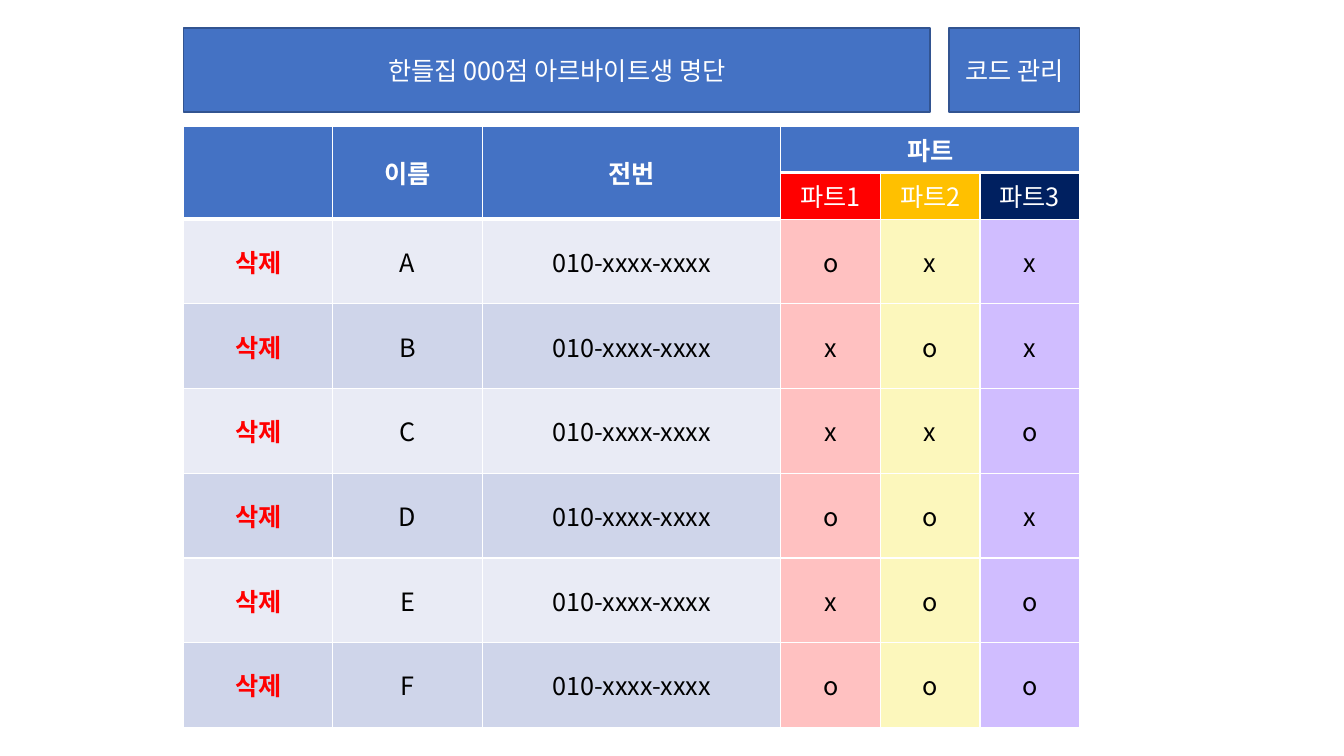
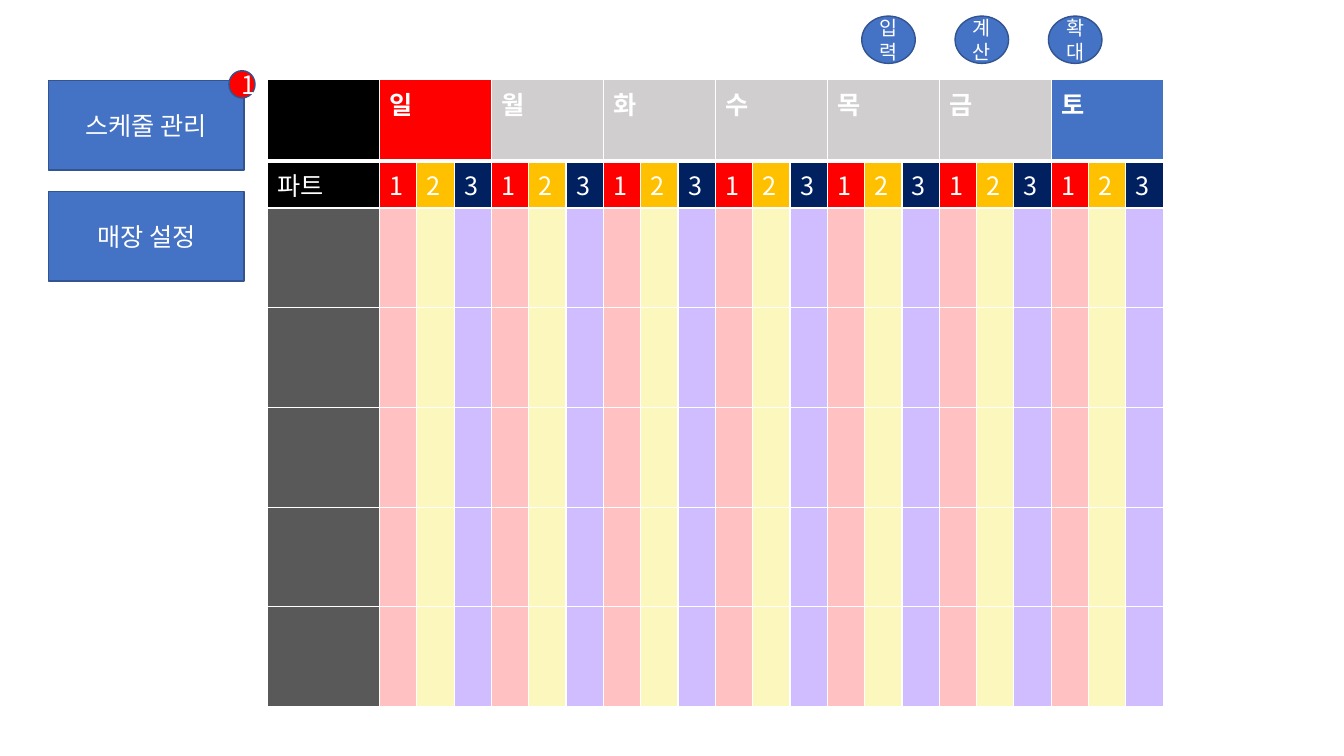
from lxml import etree
from pptx import Presentation
from pptx.dml.color import RGBColor
from pptx.enum.shapes import MSO_SHAPE
from pptx.enum.text import MSO_ANCHOR, PP_ALIGN
from pptx.oxml.ns import qn
from pptx.util import Inches, Pt

RECTANGLE = MSO_SHAPE.RECTANGLE
PROCESS = MSO_SHAPE.FLOWCHART_PROCESS
OVAL = MSO_SHAPE.OVAL
CENTER, LEFT = PP_ALIGN.CENTER, PP_ALIGN.LEFT
MIDDLE, TOP = MSO_ANCHOR.MIDDLE, MSO_ANCHOR.TOP

WHITE = RGBColor(0xFF, 0xFF, 0xFF)
BLACK = RGBColor(0x00, 0x00, 0x00)
BLUE = RGBColor(0x44, 0x72, 0xC4)
OUTLINE = RGBColor(0x32, 0x54, 0x91)
RED = RGBColor(0xFF, 0x00, 0x00)
AMBER = RGBColor(0xFF, 0xC0, 0x00)
NAVY = RGBColor(0x00, 0x20, 0x60)
GRAY = RGBColor(0xD0, 0xCE, 0xCE)
CHARCOAL = RGBColor(0x59, 0x59, 0x59)
PART_COLORS = [RED, AMBER, NAVY]
PART_TINTS = [RGBColor(0xFF, 0xC1, 0xC1), RGBColor(0xFC, 0xF7, 0xBC), RGBColor(0xD0, 0xBD, 0xFF)]
BANDS = [RGBColor(0xE9, 0xEB, 0xF5), RGBColor(0xCF, 0xD5, 0xEA)]

FONT = "Noto Sans CJK KR"
GRID = 108
DAYS = "일월화수목금토"
STAFF = {"A": "oxx", "B": "xox", "C": "xxo", "D": "oox", "E": "xoo", "F": "ooo"}


def write_text(frame, text, size=18, color=WHITE, bold=False, align=CENTER):
    """Write one formatted paragraph into a text frame."""
    para = frame.paragraphs[0]
    para.alignment = align
    span = para.add_run()
    span.text = text
    span.font.size = Pt(size)
    span.font.bold = bold
    span.font.name = FONT
    span.font.color.rgb = color
    etree.SubElement(span.font._element, qn("a:ea"), typeface=FONT)


def cell(text, fill, rule=1, **style):
    """Describe one table cell."""
    return {"text": text, "fill": fill, "rule": rule, "style": style}


def draw_borders(table_cell, bottom):
    """Give a cell white edges, with its own bottom weight."""
    properties = table_cell._tc.get_or_add_tcPr()
    for index, (edge, weight) in enumerate(zip("LRTB", (1, 1, 1, bottom))):
        line = etree.Element(qn(f"a:ln{edge}"), w=str(Pt(weight)))
        solid = etree.SubElement(line, qn("a:solidFill"))
        etree.SubElement(solid, qn("a:srgbClr"), val=str(WHITE))
        properties.insert(index, line)


class Board:
    """Draws elements on the current slide, in grid columns and rows."""

    def __init__(self):
        """Open a wide deck."""
        self.deck = Presentation()
        self.deck.slide_width, self.deck.slide_height = Inches(13.33), Inches(7.5)
        self.page = None

    def across(self, columns):
        """Turn grid columns into a length."""
        return round(self.deck.slide_width * columns / GRID)

    def down(self, rows):
        """Turn grid rows into a length."""
        return round(self.deck.slide_height * rows / GRID)

    def add_page(self):
        """Start a blank slide."""
        self.page = self.deck.slides.add_slide(self.deck.slide_layouts[6])

    def button(self, text, left, top, width, height, kind=RECTANGLE, fill=BLUE, **style):
        """Add an outlined shape with a centred label."""
        box = self.page.shapes.add_shape(
            kind, self.across(left), self.down(top), self.across(width), self.down(height))
        box.shadow.inherit = False
        box.fill.solid()
        box.fill.fore_color.rgb = fill
        box.line.color.rgb = OUTLINE
        box.line.width = Pt(1)
        box.text_frame.word_wrap = True
        box.text_frame.vertical_anchor = MIDDLE
        write_text(box.text_frame, text, **style)

    def table(self, left, top, widths, heights, rows, merges, anchor, align):
        """Add a table; merges lists first and last cell positions."""
        frame = self.page.shapes.add_table(
            len(heights), len(widths), self.across(left), self.down(top),
            self.across(sum(widths)), self.down(sum(heights)))
        table = frame.table
        table.first_row = table.horz_banding = False
        for column, width in zip(table.columns, widths):
            column.width = self.across(width)
        for row, height in zip(table.rows, heights):
            row.height = self.down(height)
        for row, items in zip(table.rows, rows):
            for target, item in zip(row.cells, items):
                target.fill.solid()
                target.fill.fore_color.rgb = item["fill"]
                target.vertical_anchor = anchor
                draw_borders(target, item["rule"])
                if item["text"]:
                    write_text(target.text_frame, item["text"], align=align, **item["style"])
        for first, last in merges:
            table.cell(*first).merge(table.cell(*last))


def build_staff_list(board):
    """Draw the staff list with the parts each person works."""
    board.add_page()
    board.button("한들집 000점 아르바이트생 명단", 14.75, 4, 60, 12)
    board.button("코드 관리", 76.25, 4, 10.5, 12, kind=PROCESS)

    blank = cell("", BLUE, rule=3)
    titles = [cell(text, BLUE, rule=3, bold=True) for text in ("", "이름", "전번", "파트")]
    parts = [cell(f"파트{number}", color) for number, color in enumerate(PART_COLORS, 1)]
    rows = [titles + [blank] * 2, [blank] * 3 + parts]
    for index, (name, marks) in enumerate(STAFF.items()):
        band = BANDS[index % 2]
        rows.append(
            [cell("삭제", band, color=RED, bold=True)]
            + [cell(text, band, color=BLACK) for text in (name, "010-xxxx-xxxx")]
            + [cell(mark, tint, color=BLACK) for mark, tint in zip(marks, PART_TINTS)])
    merges = [((0, column), (1, column)) for column in range(3)] + [((0, 3), (0, 5))]
    board.table(14.75, 18, [12, 12, 24, 8, 8, 8], [6, 6] + [12.1] * len(STAFF),
                rows, merges, MIDDLE, CENTER)


def build_schedule(board):
    """Draw the weekly schedule with its buttons."""
    board.add_page()
    header = [cell("", BLACK, rule=3)]
    for day, color in zip(DAYS, [RED] + [GRAY] * 5 + [BLUE]):
        header += [cell(day, color, rule=3, bold=True)] + [cell("", color, rule=3)] * 2
    parts = [cell(str(number), color) for number, color in enumerate(PART_COLORS, 1)]
    tints = [cell("", tint) for tint in PART_TINTS]
    rows = [header, [cell("파트", BLACK)] + parts * len(DAYS)]
    rows += [[cell("", CHARCOAL)] + tints * len(DAYS)] * 5
    merges = [((0, 3 * day + 1), (0, 3 * day + 3)) for day in range(len(DAYS))]
    board.table(21.5, 11.4, [9] + [3] * 21, [11.65, 6] + [14.25] * 5,
                rows, merges, TOP, LEFT)

    for index, text in enumerate(("입력", "계산", "확대")):
        board.button(text, 69.25 + 7.5 * index, 2.3, 4.3, 6.75, kind=OVAL, size=14)
    for index, text in enumerate(("스케줄 관리", "매장 설정")):
        board.button(text, 3.9, 11.5 + 15.85 * index, 15.7, 12.8)
    board.button("1", 18.4, 10.1, 2.1, 3.9, kind=OVAL, fill=RED)


def main():
    """Build and save the deck."""
    board = Board()
    build_staff_list(board)
    build_schedule(board)
    board.deck.save("out.pptx")


if __name__ == "__main__":
    main()
